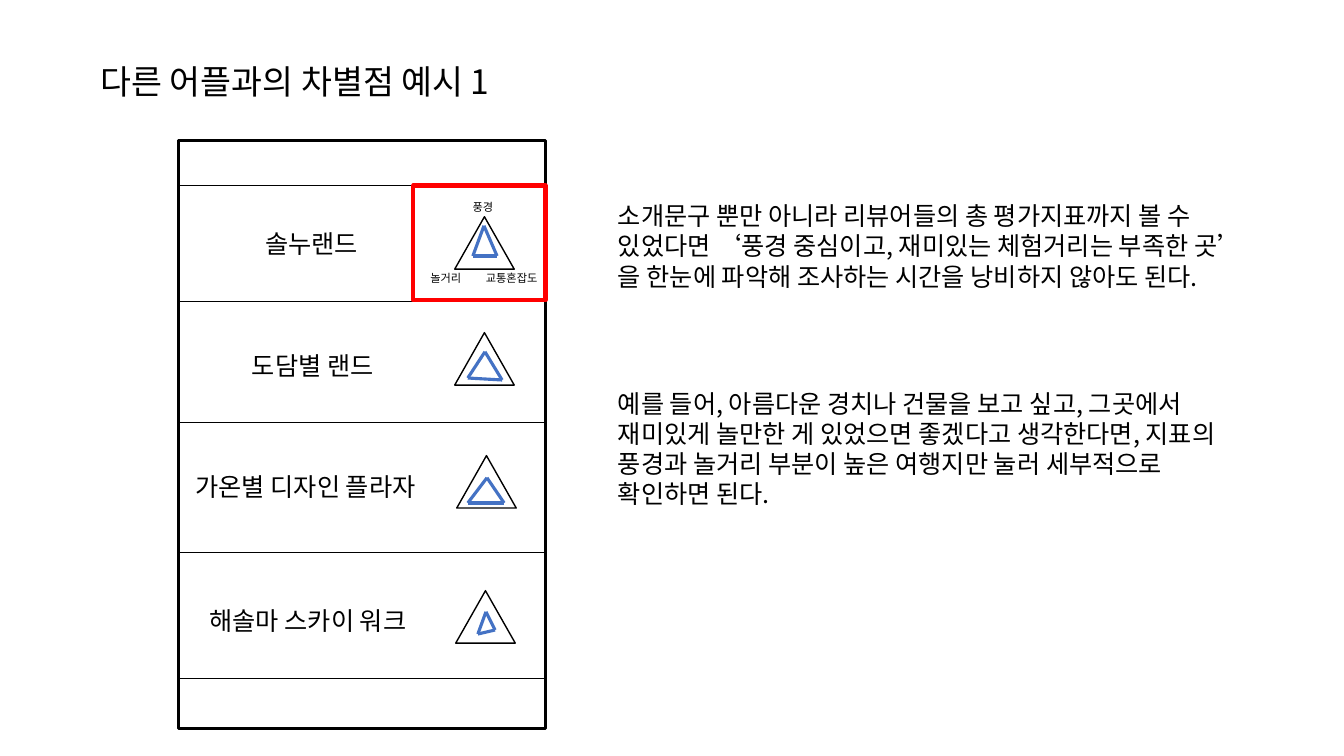
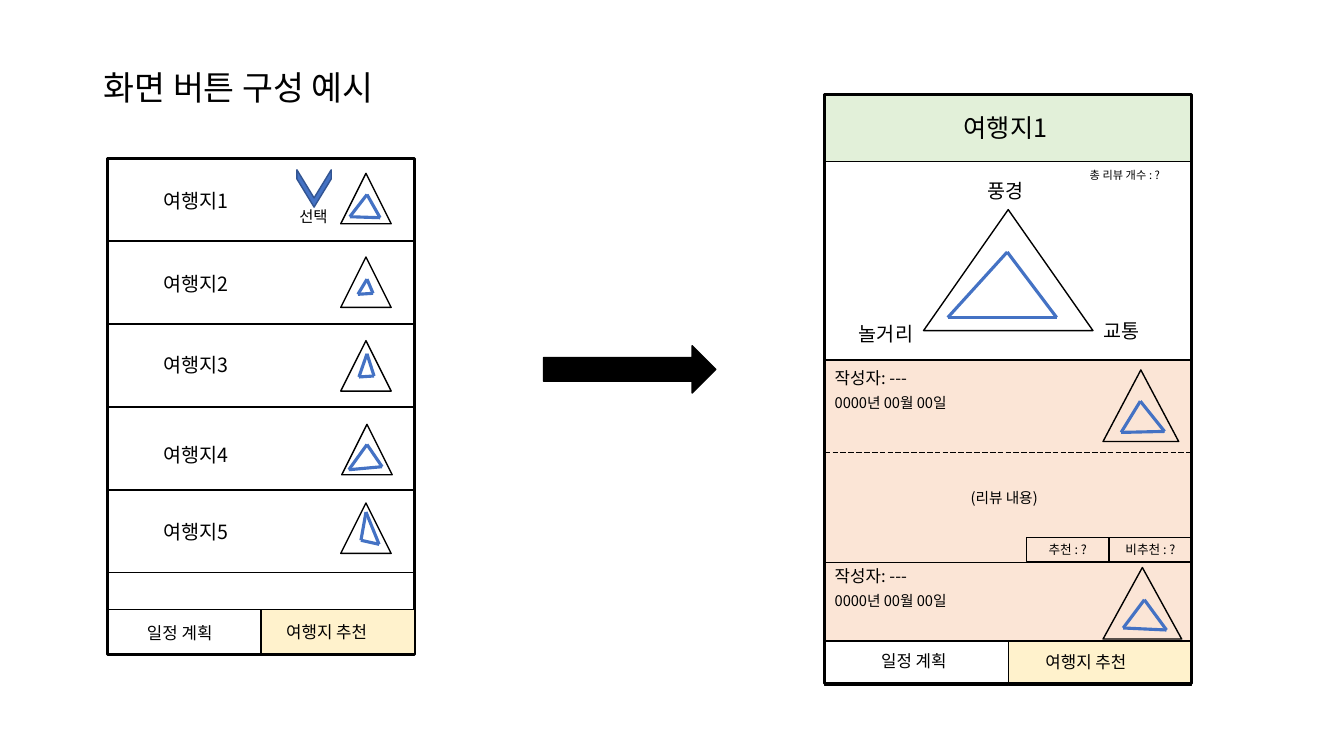
"""Build two slides that sketch the screens of a travel review app."""
from lxml.etree import SubElement
from pptx import Presentation
from pptx.dml.color import RGBColor
from pptx.enum.dml import MSO_LINE
from pptx.enum.shapes import MSO_CONNECTOR, MSO_SHAPE
from pptx.enum.text import MSO_ANCHOR, MSO_AUTO_SIZE, PP_ALIGN
from pptx.oxml.ns import qn
from pptx.util import Pt

PX = 9144
FONT = "Noto Sans CJK KR"
BLACK, BLUE, NAVY, RED = "000000", "4472C4", "325491", "FF0000"
YELLOW, GREEN, PEACH = "FFF2CC", "E2F0D9", "FBE5D6"

LIST_FRAME = (177, 139, 364, 584)
LIST_ROW_EDGES = [184, 299, 419, 548, 673]
LIST_NAMES = [
    ("솔누랜드", 253, 222, 121),
    ("도담별 랜드", 240, 343, 155),
    ("가온별 디자인 플라자", 184, 463, 265),
    ("해솔마 스카이 워크", 198, 596, 240),
]
LIST_GAUGES = [
    ((451, 215, 59, 52), [(480, 224), (469, 254), (493, 254)]),
    ((451, 330, 59, 52), [(481, 349), (464, 375), (498, 377)]),
    ((453, 452, 59, 52), [(483, 474), (464, 499), (500, 499)]),
    ((452, 586, 59, 52), [(482, 607), (474, 629), (491, 625)]),
]
LIST_AXES = [("풍경", 459, 194, 43), ("놀거리", 417, 264, 54), ("교통혼잡도", 472, 264, 76)]
HIGHLIGHT = (410, 184, 131, 114)
NOTES = [
    (194, 672, ["소개문구 뿐만 아니라 리뷰어들의 총 평가지표까지 볼 수",
                "있었다면 ‘풍경 중심이고, 재미있는 체험거리는 부족한 곳’",
                "을 한눈에 파악해 조사하는 시간을 낭비하지 않아도 된다."]),
    (380, 689, ["예를 들어, 아름다운 경치나 건물을 보고 싶고, 그곳에서",
                "재미있게 놀만한 게 있었으면 좋겠다고 생각한다면, 지표의",
                "풍경과 놀거리 부분이 높은 여행지만 눌러 세부적으로",
                "확인하면 된다."]),
]

MENU_FRAME = (107, 157, 304, 492)
MENU_ROW = 82.25
MENU_NAME_TOPS = [182, 265, 345, 434, 511]
MENU_GAUGES = [
    ((338, 172, 50, 50), [(364, 193), (347, 215), (377, 216)]),
    ((338, 255, 50, 50), [(364, 277), (355, 292), (370, 291)]),
    ((338, 338, 50, 50), [(364, 351), (356, 374), (371, 373)]),
    ((339, 421, 50, 50), [(364, 441), (346, 466), (379, 463)]),
    ((338, 499, 50, 50), [(363, 508), (358, 536), (376, 540)]),
]
DETAIL_FRAME = (818, 94, 364, 584)
DETAIL_GAUGE = ((916, 208, 168, 120), [(999, 250), (940, 315), (1048, 315)])
DETAIL_LABELS = [
    ("여행지1", 946, 107, 110, 18),
    ("풍경", 970, 173, 59, 14),
    ("놀거리", 842, 314, 79, 14),
    ("교통", 1085, 311, 59, 14),
    ("총 리뷰 개수 : ?", 1071, 162, 100, 8),
    ("(리뷰 내용)", 953, 480, 97, 10.5),
]
REVIEWS = [
    ((557, 79), 556, (1094, 563, 78, 71), [(1135, 595), (1114, 623), (1157, 625)]),
    ((357, 201), 360, (1094, 367, 75, 71), [(1131, 398), (1112, 429), (1155, 428)]),
]
VOTES = ["추천 : ?", "비추천 : ?"]


def emu(*lengths):
    return [round(n * PX) for n in lengths]


def color(value):
    return RGBColor.from_string(value)


def write(tf, lines, size, align=PP_ALIGN.LEFT):
    for i, line in enumerate(lines):
        p = tf.paragraphs[0] if i == 0 else tf.add_paragraph()
        p.text = line
        p.alignment = align
        p.line_spacing = Pt(size * 1.2)
        p.font.name = FONT
        p.font.size = Pt(size)
        p.font.color.rgb = color(BLACK)
        SubElement(p.font._element, qn("a:ea")).set("typeface", FONT)


def text(shapes, x, y, w, lines, size, wrap=False):
    height = 10 + len(lines) * size * 5 / 3
    tf = shapes.add_textbox(*emu(x, y, w, height)).text_frame
    tf.word_wrap = wrap
    tf.auto_size = MSO_AUTO_SIZE.SHAPE_TO_FIT_TEXT
    write(tf, lines, size)


def shape(shapes, box, kind=MSO_SHAPE.RECTANGLE, fill=None, line=BLACK, width=1):
    sp = shapes.add_shape(kind, *emu(*box))
    sp.shadow.inherit = False
    if fill:
        sp.fill.solid()
        sp.fill.fore_color.rgb = color(fill)
    else:
        sp.fill.background()
    sp.line.color.rgb = color(line)
    sp.line.width = Pt(width)
    return sp


def connect(shapes, start, end, line, width):
    c = shapes.add_connector(MSO_CONNECTOR.STRAIGHT, *emu(*start, *end))
    c.line.color.rgb = color(line)
    c.line.width = Pt(width)
    SubElement(c._element.spPr, qn("a:effectLst"))
    return c


def gauge(s, box, points):
    shapes = s.shapes.add_group_shape().shapes
    shape(shapes, box, MSO_SHAPE.ISOSCELES_TRIANGLE)
    for start, end in zip(points, points[1:] + points[:1]):
        connect(shapes, start, end, BLUE, 2.25)


def tabs(s, frame, top, labels):
    x, _, w, _ = frame
    for i, (label, left, y, width) in enumerate(labels):
        shape(s.shapes, (x + i * w / 2, top, w / 2, 44), fill=YELLOW if i else None)
        text(s.shapes, left, y, width, [label], 12)


def new_slide(prs, title, x, y, w):
    s = prs.slides.add_slide(prs.slide_layouts[6])
    text(s.shapes, x, y, w, [title], 24)
    return s


def build_comparison(prs):
    s = new_slide(prs, "다른 어플과의 차별점 예시 1", 90, 56, 457)
    x, _, w, _ = LIST_FRAME
    shape(s.shapes, LIST_FRAME, width=2.25)
    for top, bottom in zip(LIST_ROW_EDGES, LIST_ROW_EDGES[1:]):
        shape(s.shapes, (x, top, w, bottom - top))
    for name, left, top, width in LIST_NAMES:
        text(s.shapes, left, top, width, [name], 18)
    for box, points in LIST_GAUGES:
        gauge(s, box, points)
    for axis, left, top, width in LIST_AXES:
        text(s.shapes, left, top, width, [axis], 8)
    shape(s.shapes, HIGHLIGHT, line=RED, width=3)
    for top, width, lines in NOTES:
        text(s.shapes, 603, top, width, lines, 18)


def build_menu(s):
    x, y, w, _ = MENU_FRAME
    shape(s.shapes, MENU_FRAME, width=2.25)
    tabs(s, MENU_FRAME, 605, [("일정 계획", 136, 613, 93), ("여행지 추천", 274, 612, 110)])
    for i, (top, (box, points)) in enumerate(zip(MENU_NAME_TOPS, MENU_GAUGES)):
        shape(s.shapes, (x, y + i * MENU_ROW, w, MENU_ROW))
        text(s.shapes, 152, top, 90, [f"여행지{i + 1}"], 14)
        gauge(s, box, points)
    chevron = shape(s.shapes, (293, 170, 37, 34), MSO_SHAPE.CHEVRON, BLUE, NAVY)
    chevron.adjustments[0] = 0.82
    chevron.rotation = 90
    text(s.shapes, 287, 201, 50, ["선택"], 11)


def build_detail(s):
    x, y, w, _ = DETAIL_FRAME
    shape(s.shapes, (x, y, w, 66), fill=GREEN)
    gauge(s, *DETAIL_GAUGE)
    for (top, height), author_top, box, points in REVIEWS:
        shape(s.shapes, (x, top, w, height), fill=PEACH)
        text(s.shapes, x, author_top, 101, ["작성자: ---"], 12)
        text(s.shapes, x, author_top + 26, 139, ["0000년 00월 00일"], 10.5, wrap=True)
        gauge(s, box, points)
    divider = connect(s.shapes, (x, 449), (x + w, 449), BLACK, 0.5)
    divider.line.dash_style = MSO_LINE.LONG_DASH
    for i, vote in enumerate(VOTES):
        sp = shape(s.shapes, (1018 + i * 82, 533, 82, 24))
        sp.text_frame.vertical_anchor = MSO_ANCHOR.MIDDLE
        write(sp.text_frame, [vote], 9, PP_ALIGN.CENTER)
    for label, left, top, width, size in DETAIL_LABELS:
        text(s.shapes, left, top, width, [label], size)
    tabs(s, DETAIL_FRAME, 636, [("일정 계획", 864, 641, 112), ("여행지 추천", 1027, 642, 132)])
    shape(s.shapes, DETAIL_FRAME, width=2.25)


def main():
    prs = Presentation()
    prs.slide_width, prs.slide_height = emu(1333, 750)
    build_comparison(prs)
    s = new_slide(prs, "화면 버튼 구성 예시", 93, 61, 336)
    build_menu(s)
    shape(s.shapes, (539, 343, 171, 47), MSO_SHAPE.RIGHT_ARROW, BLACK)
    build_detail(s)
    prs.save("out.pptx")


if __name__ == "__main__":
    main()
